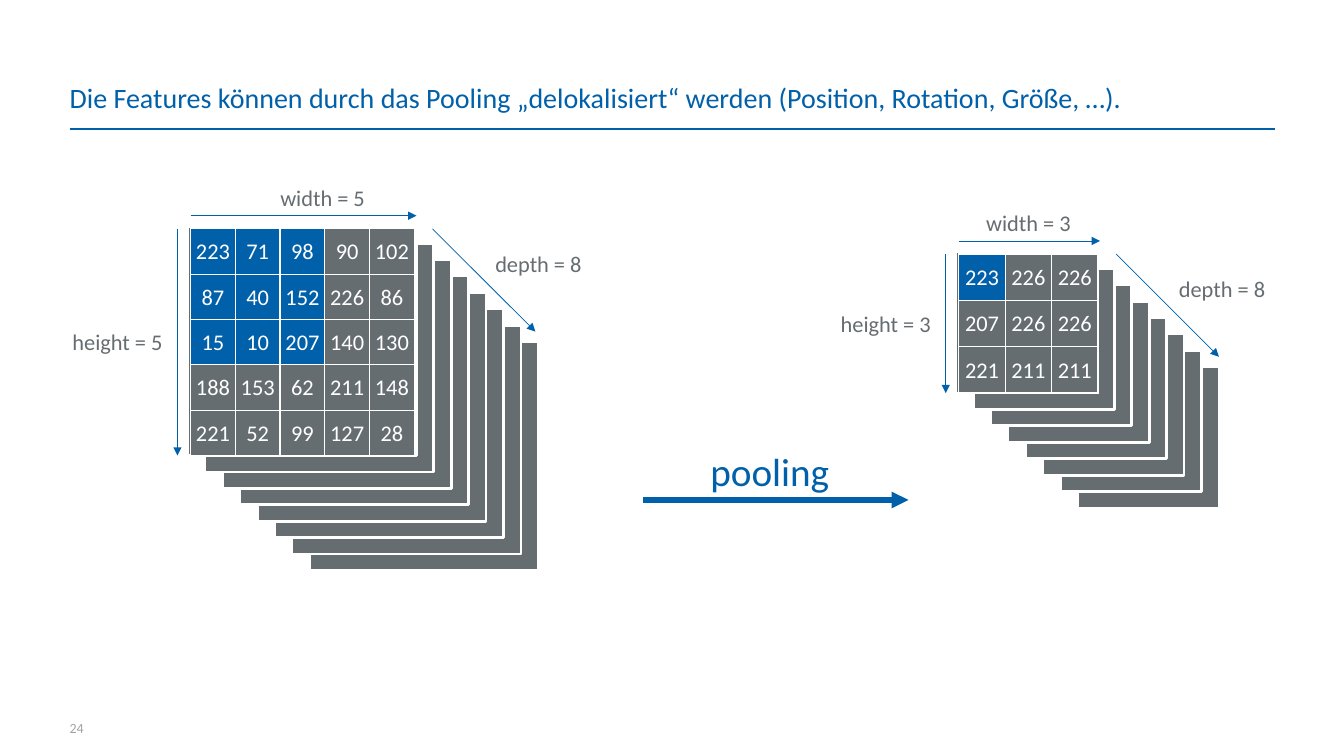
import dataclasses

import lxml.etree
import pptx
import pptx.dml.color
import pptx.enum.shapes
import pptx.enum.text
import pptx.oxml.ns
import pptx.util

Inches = pptx.util.Inches
Pt = pptx.util.Pt
Align = pptx.enum.text.PP_ALIGN
Anchor = pptx.enum.text.MSO_ANCHOR
qn = pptx.oxml.ns.qn


@dataclasses.dataclass(frozen=True)
class Theme:
    font: str = "Calibri"
    blue: str = "0060A9"
    grey: str = "666D71"
    pale: str = "A0A3A5"
    white: str = "FFFFFF"
    title: int = 20
    label: int = 16
    operation: int = 28
    number: int = 10


THEME = Theme()
DEPTH = 8
SHEET_STEP = (1.21 / 7, 1.14 / 7)

INPUT_VALUES = [
    [223, 71, 98, 90, 102],
    [87, 40, 152, 226, 86],
    [15, 10, 207, 140, 130],
    [188, 153, 62, 211, 148],
    [221, 52, 99, 127, 28],
]
POOLED_VALUES = [
    [223, 226, 226],
    [207, 226, 226],
    [221, 211, 211],
]


def rgb(code):
    return pptx.dml.color.RGBColor.from_string(code)


def inches(*lengths):
    return [Inches(length) for length in lengths]


def write(frame, text, size, color, align=Align.LEFT, after=0):
    frame.text = text
    para = frame.paragraphs[0]
    para.alignment = align
    para.space_before = Pt(0)
    para.space_after = Pt(after)
    font = para.runs[0].font
    font.name = THEME.font
    font.size = Pt(size)
    font.color.rgb = rgb(color)
    return para


def clear_margins(frame):
    frame.margin_left = frame.margin_right = 0
    frame.margin_top = frame.margin_bottom = 0
    frame.vertical_anchor = Anchor.MIDDLE


def add_label(page, text, box, size=THEME.label, color=THEME.grey):
    frame = page.shapes.add_textbox(*inches(*box)).text_frame
    frame.word_wrap = True
    frame.vertical_anchor = Anchor.MIDDLE
    write(frame, text, size, color, Align.CENTER, after=3)


def add_line(page, start, end, width, arrow=True):
    line = page.shapes.add_connector(
        pptx.enum.shapes.MSO_CONNECTOR.STRAIGHT, *inches(*start, *end))
    line.line.color.rgb = rgb(THEME.blue)
    line.line.width = Pt(width)
    if arrow:
        outline = line.line._get_or_add_ln()
        lxml.etree.SubElement(outline, qn("a:tailEnd"), type="triangle")
    lxml.etree.SubElement(line._element.spPr, qn("a:effectLst"))


def add_borders(cell):
    properties = cell._tc.get_or_add_tcPr()
    for side in ("a:lnL", "a:lnR", "a:lnT", "a:lnB"):
        border = lxml.etree.SubElement(properties, qn(side), w=str(Pt(1)))
        fill = lxml.etree.SubElement(border, qn("a:solidFill"))
        lxml.etree.SubElement(fill, qn("a:srgbClr"), val=THEME.white)


def add_sheets(page, left, top, size):
    """Stack the feature maps from the rearmost to the front one."""
    for level in reversed(range(DEPTH)):
        sheet = page.shapes.add_shape(
            pptx.enum.shapes.MSO_SHAPE.RECTANGLE,
            *inches(left + level * SHEET_STEP[0], top + level * SHEET_STEP[1],
                    size, size))
        sheet.shadow.inherit = False
        sheet.fill.solid()
        sheet.fill.fore_color.rgb = rgb(THEME.grey)
        sheet.line.color.rgb = rgb(THEME.white)
        sheet.line.width = Pt(2)


def add_grid(page, box, values, marked):
    """Show the values; the top left marked x marked cells are blue."""
    count = len(values)
    table = page.shapes.add_table(count, count, *inches(*box)).table
    table.first_row = table.horz_banding = False
    for index in range(count):
        table.columns[index].width = Inches(box[2] / count)
        table.rows[index].height = Inches(box[3] / count)
    for row, numbers in enumerate(values):
        for column, number in enumerate(numbers):
            cell = table.cell(row, column)
            cell.margin_left = cell.margin_right = cell.margin_top = Inches(0.01)
            cell.margin_bottom = 0
            cell.vertical_anchor = Anchor.MIDDLE
            write(cell.text_frame, str(number), THEME.label, THEME.white,
                  Align.CENTER)
            add_borders(cell)
            cell.fill.solid()
            inside = row < marked and column < marked
            cell.fill.fore_color.rgb = rgb(THEME.blue if inside else THEME.grey)


def add_volume(page, box, values, marked, label_shift=0):
    """Draw a stack of feature maps with its grid, arrows and dimensions."""
    left, top, width, height = box
    right, bottom = left + width, top + height
    count = len(values)
    add_sheets(page, left - 0.03, top - 0.02, height + 0.02)

    add_line(page, (left, top - 0.13), (right + 0.02, top - 0.13), 0.5)
    add_line(page, (left - 0.13, top), (left - 0.13, bottom), 0.5)
    add_line(page, (right + 0.18, top), (right + 1.2, top + 1.02), 0.5)

    middle = left + width / 2 + label_shift
    add_label(page, f"width = {count}", (middle - 0.65, top - 0.5, 1.3, 0.37))
    add_label(page, f"height = {count}",
              (left - 1.32, top + height / 2 - 0.19, 1.19, 0.37))
    add_label(page, f"depth = {DEPTH}", (right + 0.67, top + 0.16, 1.12, 0.37))
    add_grid(page, box, values, marked)


def add_title(page, text, box):
    left, top, width, height = box
    title = page.shapes.title
    title.left, title.top, title.width, title.height = inches(*box)
    frame = title.text_frame
    frame.word_wrap = True
    frame.auto_size = pptx.enum.text.MSO_AUTO_SIZE.NONE
    clear_margins(frame)
    write(frame, text, THEME.title, THEME.blue, after=3)
    rule = top + height + 0.13
    add_line(page, (left, rule), (left + width, rule), 2, arrow=False)


def add_operation(page, text, box):
    left, top, width, height = box
    add_label(page, text, (left + 0.08, top, width - 0.28, height),
              THEME.operation, THEME.blue)
    add_line(page, (left, top + height), (left + width, top + height), 4)


def add_page_number(page, text, box):
    frame = page.shapes.add_textbox(*inches(*box)).text_frame
    frame.word_wrap = True
    clear_margins(frame)
    write(frame, text, THEME.number, THEME.pale).line_spacing = 1.5


def main():
    deck = pptx.Presentation()
    deck.slide_width, deck.slide_height = inches(13.33, 7.5)
    page = deck.slides.add_slide(deck.slide_layouts.get_by_name("Title Only"))
    add_title(page, "Die Features können durch das Pooling „delokalisiert“ "
              "werden (Position, Rotation, Größe, …).",
              (0.69, 0.78, 11.96, 0.37))
    add_volume(page, (9.51, 2.52, 1.38, 1.38), POOLED_VALUES, marked=1)
    add_volume(page, (1.89, 2.27, 2.22, 2.25), INPUT_VALUES, marked=3,
               label_shift=0.2)
    add_operation(page, "pooling", (6.38, 4.39, 2.63, 0.57))
    add_page_number(page, "24", (0.69, 7.1, 0.52, 0.16))
    deck.save("out.pptx")


if __name__ == "__main__":
    main()
